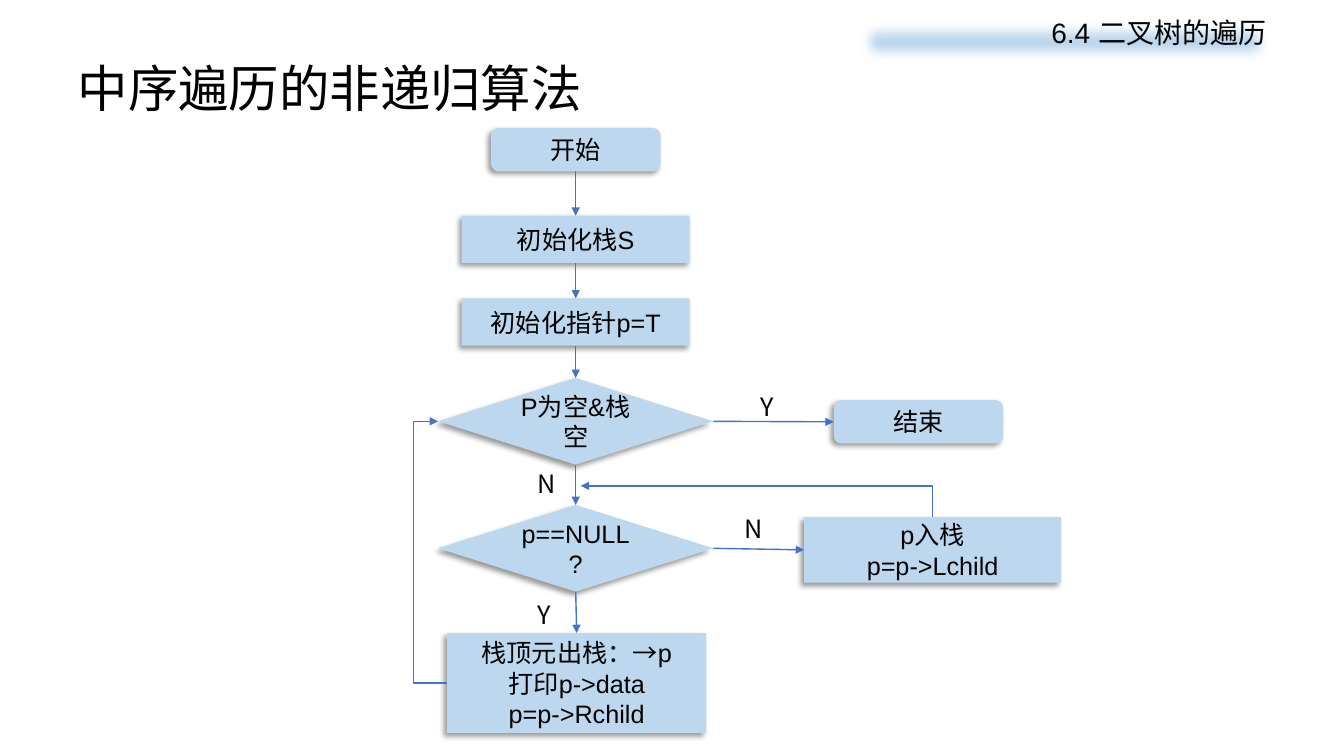
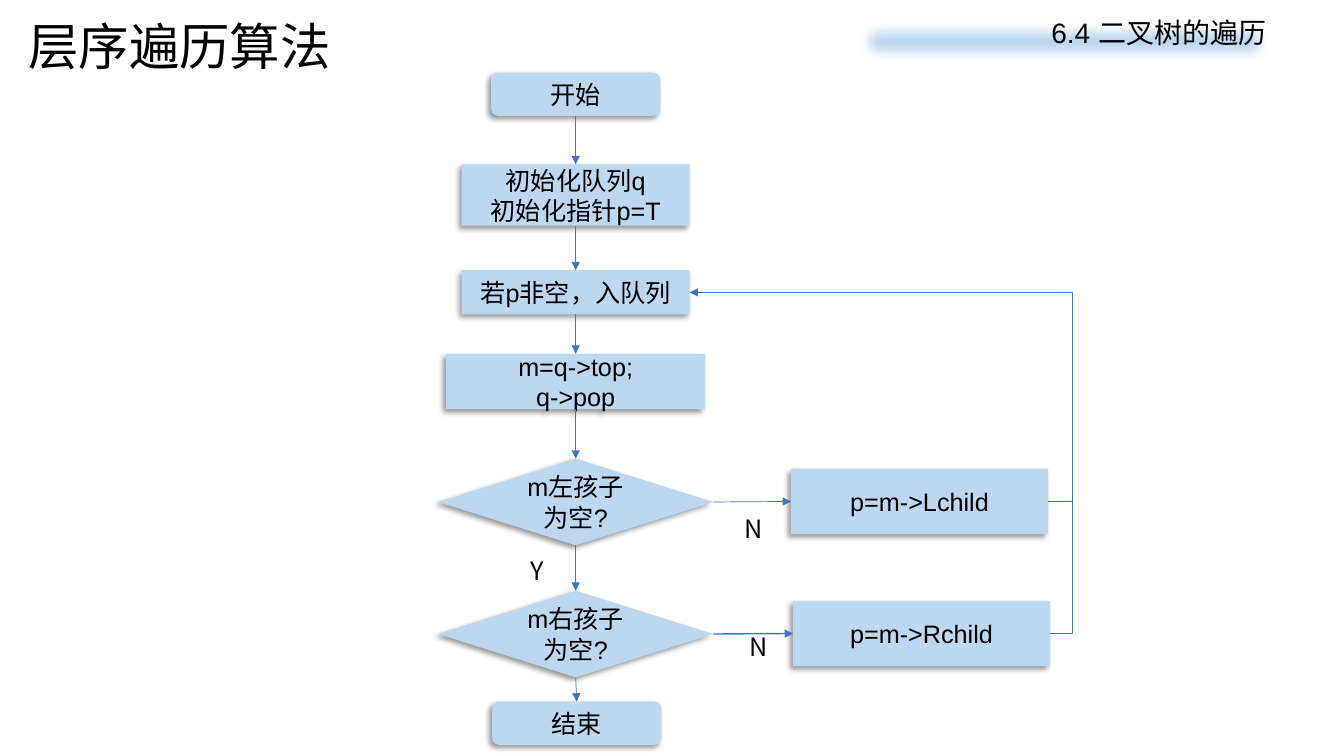
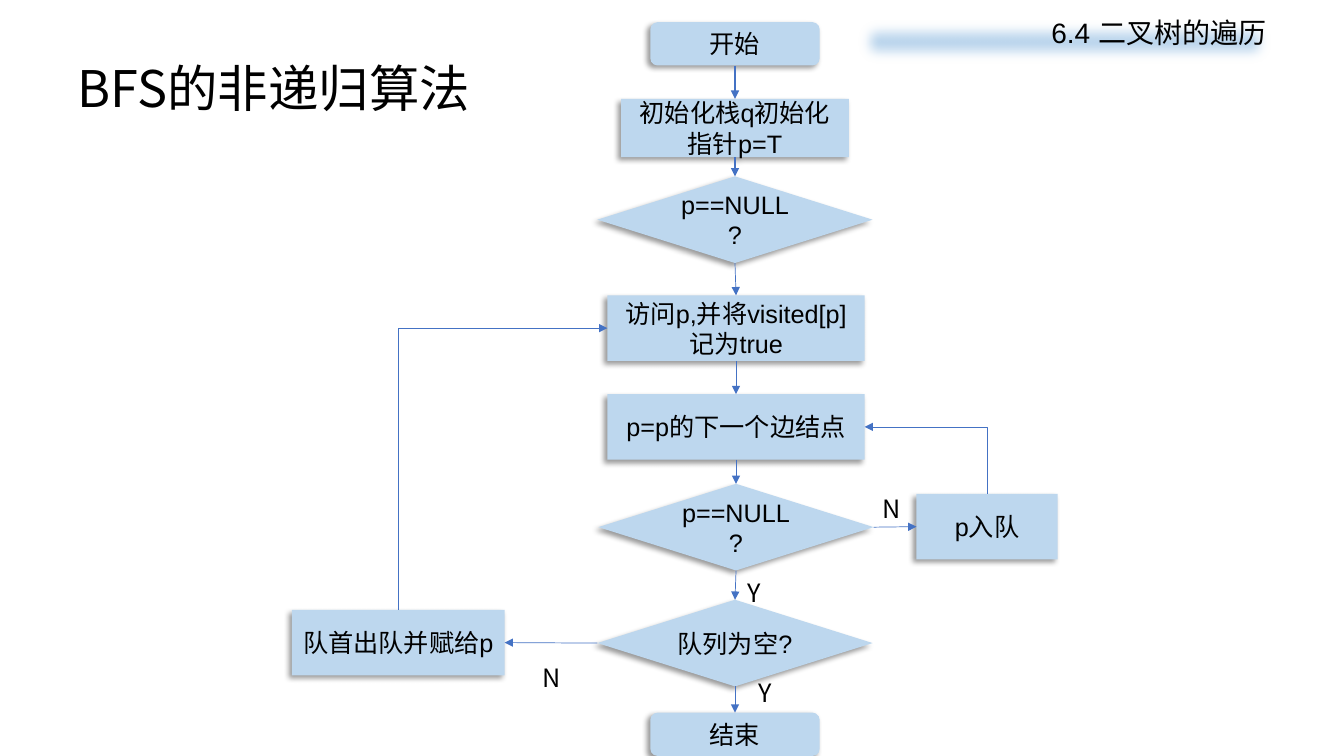
from itertools import pairwise
from lxml.etree import SubElement
from pptx import Presentation
from pptx.dml.color import RGBColor
from pptx.enum.shapes import MSO_CONNECTOR, MSO_SHAPE
from pptx.enum.text import MSO_ANCHOR, MSO_AUTO_SIZE, PP_ALIGN
from pptx.oxml.ns import qn
from pptx.util import Inches, Pt

COLORS = {"fill": "BDD7EE", "line": "4472C4", "text": "000000"}
LATIN, CJK = "Arial", "Noto Sans CJK SC"
SECTION = "6.4 二叉树的遍历"
TERMINAL, TEST = (1.68, 0.43), (2.73, 0.86)
WORK, WIDE = (2.55, 0.65), 2.57
INIT = 2.26
SITES = {"top": 0, "left": 1, "bottom": 2, "right": 3}

# Nodes: name -> (kind, centre x, top, size, text)
# Chains: names joined downwards, line width
# Sides: from, to, leaving side, line width
# Bends: horizontal end, vertical or far end, middle x, line width, arrow
SLIDES = [
    {
        "title": ("中序遍历的非递归算法", 0.67, 0.53),
        "nodes": {
            "start": ("terminal", 5.71, 1.27, TERMINAL, "开始"),
            "stack": ("step", 5.71, 2.14, (INIT, 0.47), "初始化栈S"),
            "pointer": ("step", 5.71, 2.96, (INIT, 0.47), "初始化指针p=T"),
            "empty": ("test", 5.71, 3.75, TEST, "P为空&栈空"),
            "null": ("test", 5.71, 5.01, TEST, "p==NULL?"),
            "pop": ("step", 5.72, 6.28, (WIDE, 0.99),
                    "栈顶元出栈：→p\n打印p->data\np=p->Rchild"),
            "end": ("terminal", 9.11, 3.97, TERMINAL, "结束"),
            "push": ("work", 9.25, 5.13, WORK, "p入栈\np=p->Lchild"),
        },
        "chains": [(("start", "stack", "pointer", "empty", "null", "pop"), 1)],
        "sides": [("empty", "end", "right", 1), ("null", "push", "right", 1)],
        "bends": [(("empty", "left"), ("pop", "left"), 4.1, 1, True),
                  ((5.76, 4.82), ("push", "top"), None, 1, True)],
        "labels": [("N", 5.23, 4.6), ("Y", 7.44, 3.83), ("N", 7.29, 5.04), ("Y", 5.23, 5.9)],
    },
    {
        "title": ("层序遍历算法", 0.18, 0.11),
        "nodes": {
            "start": ("terminal", 5.71, 0.72, TERMINAL, "开始"),
            "queue": ("step", 5.71, 1.63, (INIT, 0.61), "初始化队列q\n初始化指针p=T"),
            "enqueue": ("step", 5.71, 2.68, (INIT, 0.44), "若p非空，入队列"),
            "pop": ("step", 5.71, 3.51, (WIDE, 0.55), "m=q->top;\nq->pop"),
            "left": ("test", 5.71, 4.55, TEST, "m左孩子为空?"),
            "right": ("test", 5.71, 5.86, TEST, "m右孩子为空?"),
            "end": ("terminal", 5.72, 6.96, TERMINAL, "结束"),
            "lchild": ("work", 9.12, 4.65, WORK, "p=m->Lchild"),
            "rchild": ("work", 9.14, 5.96, WORK, "p=m->Rchild"),
        },
        "chains": [(("start", "queue", "enqueue", "pop"), 1),
                   (("pop", "left", "right", "end"), 0.5)],
        "sides": [("left", "lchild", "right", 0.5), ("right", "rchild", "right", 1)],
        "bends": [(("enqueue", "right"), ("lchild", "right"), 10.64, 0.5, True),
                  (("rchild", "right"), (10.64, 4.98), None, 0.5, False)],
        "labels": [("N", 7.29, 5.04), ("Y", 5.16, 5.46), ("N", 7.34, 6.21)],
    },
    {
        "title": ("BFS的非递归算法", 0.67, 0.53),
        "nodes": {
            "start": ("terminal", 7.29, 0.22, TERMINAL, "开始"),
            "init": ("step", 7.29, 0.98, (INIT, 0.58), "初始化栈q初始化指针p=T"),
            "root": ("test", 7.29, 1.75, TEST, "p==NULL?"),
            "visit": ("work", 7.3, 2.93, WORK, "访问p,并将visited[p]记为true"),
            "next": ("work", 7.3, 3.91, WORK, "p=p的下一个边结点"),
            "null": ("test", 7.3, 4.8, TEST, "p==NULL?"),
            "empty": ("test", 7.29, 5.95, TEST, "队列为空?"),
            "end": ("terminal", 7.29, 7.07, TERMINAL, "结束"),
            "push": ("work", 9.79, 4.9, (1.4, 0.65), "p入队"),
            "front": ("work", 3.95, 6.05, (2.11, 0.65), "队首出队并赋给p"),
        },
        "chains": [(("start", "init", "root"), 1),
                   (("root", "visit", "next", "null", "empty", "end"), 0.5)],
        "sides": [("null", "push", "right", 0.5), ("empty", "front", "left", 0.5)],
        "bends": [(("next", "right"), ("push", "top"), None, 0.5, True),
                  (("visit", "left"), ("front", "top"), None, 0.5, True)],
        "labels": [("Y", 7.32, 5.68), ("N", 8.65, 4.84), ("N", 5.28, 6.52), ("Y", 7.42, 6.67)],
    },
]
PRESETS = {"terminal": MSO_SHAPE.ROUNDED_RECTANGLE, "step": MSO_SHAPE.RECTANGLE,
           "work": MSO_SHAPE.RECTANGLE, "test": MSO_SHAPE.FLOWCHART_DECISION}


def rgb(name):
    return RGBColor.from_string(COLORS[name])


def write(tf, text, size, font, align, spacing=None):
    tf.text = text
    for p in tf.paragraphs:
        p.alignment = align
        if spacing:
            p.line_spacing = spacing
        for r in p.runs:
            r.font.size, r.font.name = Pt(size), font
            r.font.color.rgb = rgb("text")
            SubElement(r._r.get_or_add_rPr(), qn("a:ea"), typeface=CJK)


def add_box(s, preset, x, y, w, h):
    sp = s.shapes.add_shape(preset, *map(Inches, (x, y, w, h)))
    sp.fill.solid()
    sp.fill.fore_color.rgb = rgb("fill")
    sp.line.fill.background()
    sp.shadow.inherit = False
    return sp, sp._element.spPr.find(qn("a:effectLst"))


def add_header(s, text, x, y):
    title = s.shapes.title
    title.left, title.top, title.width, title.height = map(Inches, (x, y, 12, 0.75))
    tf = title.text_frame
    tf.auto_size, tf.vertical_anchor = MSO_AUTO_SIZE.NONE, MSO_ANCHOR.MIDDLE
    write(tf, text, 36, CJK, PP_ALIGN.LEFT, 0.9)
    band, effects = add_box(s, MSO_SHAPE.RECTANGLE, 8.46, 0.14, 4.2, 0.54)
    SubElement(effects, qn("a:softEdge"), rad=str(Pt(10)))
    band.text_frame.vertical_anchor = MSO_ANCHOR.TOP
    write(band.text_frame, SECTION, 20, LATIN, PP_ALIGN.RIGHT, 0.9)


def add_node(s, kind, cx, top, size, text):
    w, h = size
    sp, effects = add_box(s, PRESETS[kind], cx - w / 2, top, w, h)
    shadow = SubElement(effects, qn("a:outerShdw"), blurRad=str(Pt(4)), dist=str(Pt(3)),
                        dir=str(135 * 60000), algn="tr", rotWithShape="0")
    black = SubElement(shadow, qn("a:srgbClr"), val=COLORS["text"])
    SubElement(black, qn("a:alpha"), val="40000")
    tf = sp.text_frame
    tf.word_wrap, tf.vertical_anchor = True, MSO_ANCHOR.MIDDLE
    if kind == "work":
        tf.margin_top = tf.margin_bottom = 0
    write(tf, text, 18, LATIN, PP_ALIGN.CENTER)
    return sp


def add_line(s, kind, start, end, width, arrow):
    c = s.shapes.add_connector(kind, *start, *end)
    c.line.color.rgb, c.line.width = rgb("line"), Pt(width)
    if arrow:
        SubElement(c.line._get_or_add_ln(), qn(f"a:{arrow}"), type="triangle")
    SubElement(c._element.spPr, qn("a:effectLst"))
    return c


def add_arrow(s, a, side_a, b, side_b, width):
    c = add_line(s, MSO_CONNECTOR.STRAIGHT, (0, 0), (0, 0), width, "tailEnd")
    c.begin_connect(a, SITES[side_a])
    c.end_connect(b, SITES[side_b])


def locate(place, nodes):
    if place[0] not in nodes:
        return tuple(map(Inches, place))
    sp, side = nodes[place[0]], place[1]
    dx = {"left": 0, "right": sp.width}.get(side, sp.width // 2)
    dy = {"top": 0, "bottom": sp.height}.get(side, sp.height // 2)
    return sp.left + dx, sp.top + dy


def add_bend(s, nodes, start, end, middle, width, arrow):
    start, end = locate(start, nodes), locate(end, nodes)
    c = add_line(s, MSO_CONNECTOR.ELBOW, start, end, width, "headEnd" if arrow else None)
    geom = c._element.spPr.find(qn("a:prstGeom"))
    if middle is None:
        geom.set("prst", "bentConnector2")
    else:
        share = (Inches(middle) - start[0]) / (end[0] - start[0])
        guides = geom.find(qn("a:avLst"))
        SubElement(guides, qn("a:gd"), name="adj1", fmla=f"val {round(share * 100000)}")


def add_label(s, text, x, y):
    tf = s.shapes.add_textbox(*map(Inches, (x, y, 0.36, 0.4))).text_frame
    tf.word_wrap = False
    write(tf, text, 18, CJK, PP_ALIGN.LEFT)


def main():
    """Build the tree traversal flowcharts."""
    prs = Presentation()
    prs.slide_width, prs.slide_height = Inches(13.33), Inches(7.5)
    for chart in SLIDES:
        s = prs.slides.add_slide(prs.slide_layouts[5])
        add_header(s, *chart["title"])
        nodes = {name: add_node(s, *node) for name, node in chart["nodes"].items()}
        for names, width in chart["chains"]:
            for a, b in pairwise(names):
                add_arrow(s, nodes[a], "bottom", nodes[b], "top", width)
        for a, b, side, width in chart["sides"]:
            add_arrow(s, nodes[a], side, nodes[b], "left" if side == "right" else "right", width)
        for bend in chart["bends"]:
            add_bend(s, nodes, *bend)
        for label in chart["labels"]:
            add_label(s, *label)
    prs.save("out.pptx")


if __name__ == "__main__":
    main()
